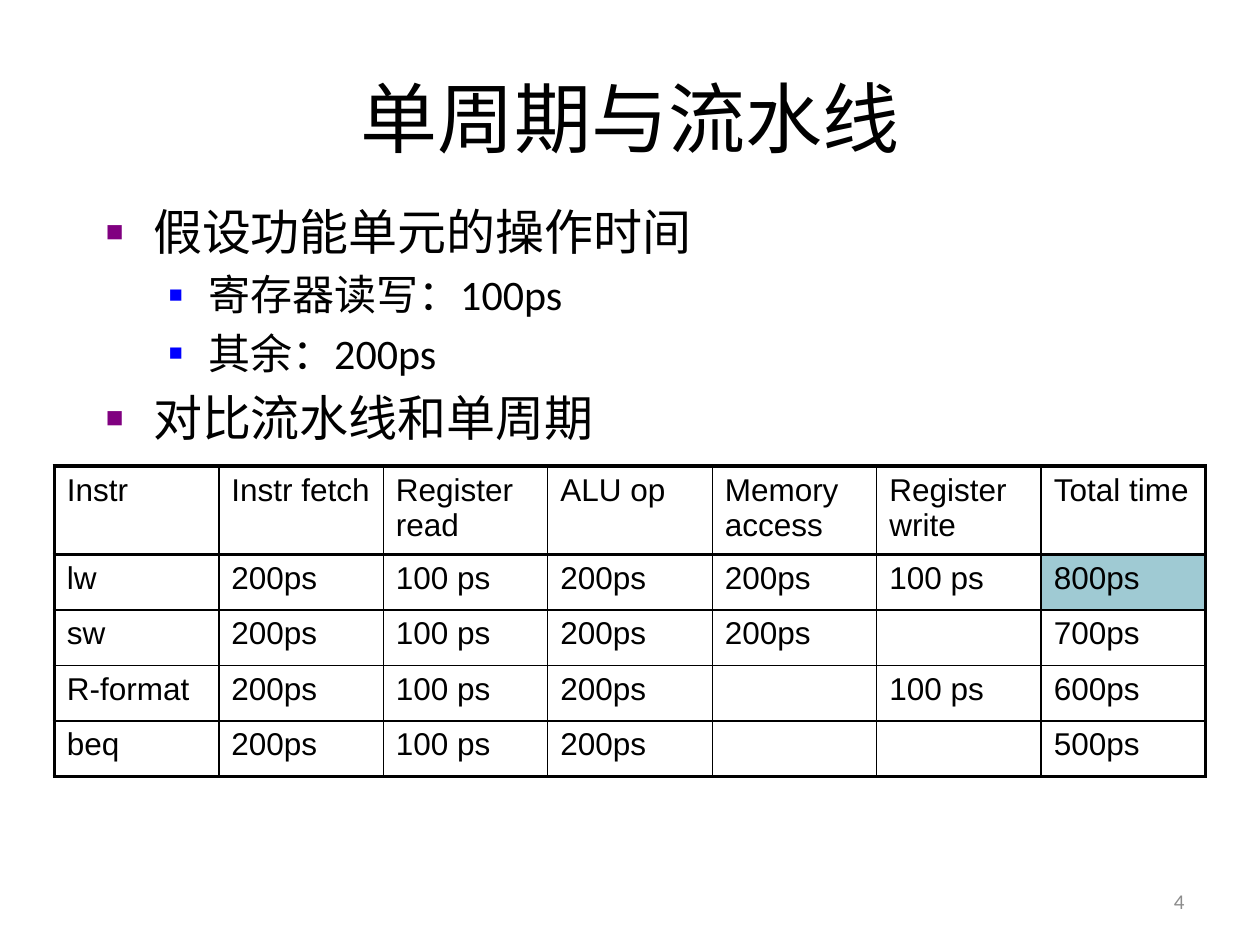
from dataclasses import dataclass

from lxml import etree
from pptx import Presentation
from pptx.dml.color import RGBColor
from pptx.enum import text
from pptx.oxml import ns
from pptx.util import Pt

BLACK = RGBColor(0x00, 0x00, 0x00)
GRAY = RGBColor(0x8C, 0x8C, 0x8C)
PURPLE = RGBColor(0x80, 0x00, 0x80)
BLUE = RGBColor(0x00, 0x00, 0xFF)
TEAL = RGBColor(0x9F, 0xCA, 0xD3)

THIN, MEDIUM, THICK = 1, 1.5, 2.25


@dataclass(frozen=True)
class Level:
    number: int
    size: float
    left: float
    hanging: float
    bullet_color: RGBColor
    bullet_percent: int


TOPIC = Level(0, 28, 27, 27, PURPLE, 60)
DETAIL = Level(1, 24, 58.5, 22.5, BLUE, 55)

BULLETS = [
    (TOPIC, "假设功能单元的操作时间"),
    (DETAIL, "寄存器读写：100ps"),
    (DETAIL, "其余：200ps"),
    (TOPIC, "对比流水线和单周期"),
]

TIMINGS = [
    ["Instr", "Instr fetch", "Register read", "ALU op", "Memory access",
     "Register write", "Total time"],
    ["lw", "200ps", "100 ps", "200ps", "200ps", "100 ps", "800ps"],
    ["sw", "200ps", "100 ps", "200ps", "200ps", "", "700ps"],
    ["R-format", "200ps", "100 ps", "200ps", "", "100 ps", "600ps"],
    ["beq", "200ps", "100 ps", "200ps", "", "", "500ps"],
]
HIGHLIGHTED = (1, 6)
COLUMN_WIDTH, HEADER_HEIGHT, ROW_HEIGHT = 94, 50.4, 31.7


def place(shape, left: float, top: float, width: float, height: float) -> None:
    shape.left, shape.top = Pt(left), Pt(top)
    shape.width, shape.height = Pt(width), Pt(height)


def format_runs(paragraph, size: float, name: str = "Calibri",
                color: RGBColor = BLACK) -> None:
    for run in paragraph.runs:
        run.font.size = Pt(size)
        run.font.name = name
        run.font.color.rgb = color


def add_child(parent, tag: str, **attributes: str):
    return etree.SubElement(parent, ns.qn(tag), attributes)


def set_bullet(paragraph, level: Level) -> None:
    properties = paragraph._p.get_or_add_pPr()
    properties.set("marL", str(Pt(level.left)))
    properties.set("indent", str(-Pt(level.hanging)))
    color = add_child(properties, "a:buClr")
    add_child(color, "a:srgbClr", val=str(level.bullet_color))
    add_child(properties, "a:buSzPct", val=str(level.bullet_percent * 1000))
    add_child(properties, "a:buFont", typeface="Arial")
    add_child(properties, "a:buChar", char="■")


def fill_title(title) -> None:
    place(title, 36, 21.6, 648, 90)
    title.text_frame.text = "单周期与流水线"
    title.text_frame.vertical_anchor = text.MSO_ANCHOR.MIDDLE
    paragraph = title.text_frame.paragraphs[0]
    paragraph.alignment = text.PP_ALIGN.CENTER
    format_runs(paragraph, 44)


def fill_body(body) -> None:
    place(body, 53.3, 111.6, 651.6, 153.4)
    frame = body.text_frame
    frame.auto_size = text.MSO_AUTO_SIZE.NONE
    for index, (level, wording) in enumerate(BULLETS):
        paragraph = frame.add_paragraph() if index else frame.paragraphs[0]
        paragraph.text = wording
        paragraph.level = level.number
        set_bullet(paragraph, level)
        paragraph.space_before = Pt(0.2 * level.size if index else 0)
        format_runs(paragraph, level.size)


def set_borders(cell, left: float, right: float, top: float, bottom: float) -> None:
    properties = cell._tc.get_or_add_tcPr()
    sides = {"a:lnL": left, "a:lnR": right, "a:lnT": top, "a:lnB": bottom}
    for tag, width in sides.items():
        line = add_child(properties, tag, w=str(Pt(width)))
        add_child(add_child(line, "a:solidFill"), "a:srgbClr", val=str(BLACK))


def add_timing_table(slide) -> None:
    row_count, column_count = len(TIMINGS), len(TIMINGS[0])
    table = slide.shapes.add_table(
        row_count, column_count, Pt(31), Pt(266.4), Pt(column_count * COLUMN_WIDTH),
        Pt(HEADER_HEIGHT + (row_count - 1) * ROW_HEIGHT)).table
    table.first_row = table.horz_banding = False
    for column in table.columns:
        column.width = Pt(COLUMN_WIDTH)
    row_lines = [THICK, MEDIUM] + [THIN] * (row_count - 2) + [THICK]
    column_lines = [THICK] + [THIN] * (column_count - 1) + [THICK]

    for r, values in enumerate(TIMINGS):
        table.rows[r].height = Pt(ROW_HEIGHT if r else HEADER_HEIGHT)
        for c, value in enumerate(values):
            cell = table.cell(r, c)
            cell.text_frame.text = value
            format_runs(cell.text_frame.paragraphs[0], 18, "Arial")
            set_borders(cell, column_lines[c], column_lines[c + 1],
                        row_lines[r], row_lines[r + 1])
            if (r, c) == HIGHLIGHTED:
                cell.fill.solid()
                cell.fill.fore_color.rgb = TEAL
            else:
                cell.fill.background()


def add_page_number(slide) -> None:
    box = slide.shapes.add_textbox(Pt(516), Pt(500.4), Pt(168), Pt(28.8))
    frame = box.text_frame
    frame.word_wrap = True
    frame.vertical_anchor = text.MSO_ANCHOR.MIDDLE
    frame.text = "4"
    frame.paragraphs[0].alignment = text.PP_ALIGN.RIGHT
    format_runs(frame.paragraphs[0], 12, color=GRAY)


def main() -> None:
    presentation = Presentation()
    presentation.slide_width, presentation.slide_height = Pt(720), Pt(540)
    slide = presentation.slides.add_slide(presentation.slide_layouts[1])
    fill_title(slide.shapes.title)
    fill_body(slide.placeholders[1])
    add_timing_table(slide)
    add_page_number(slide)
    presentation.save("out.pptx")


if __name__ == "__main__":
    main()
